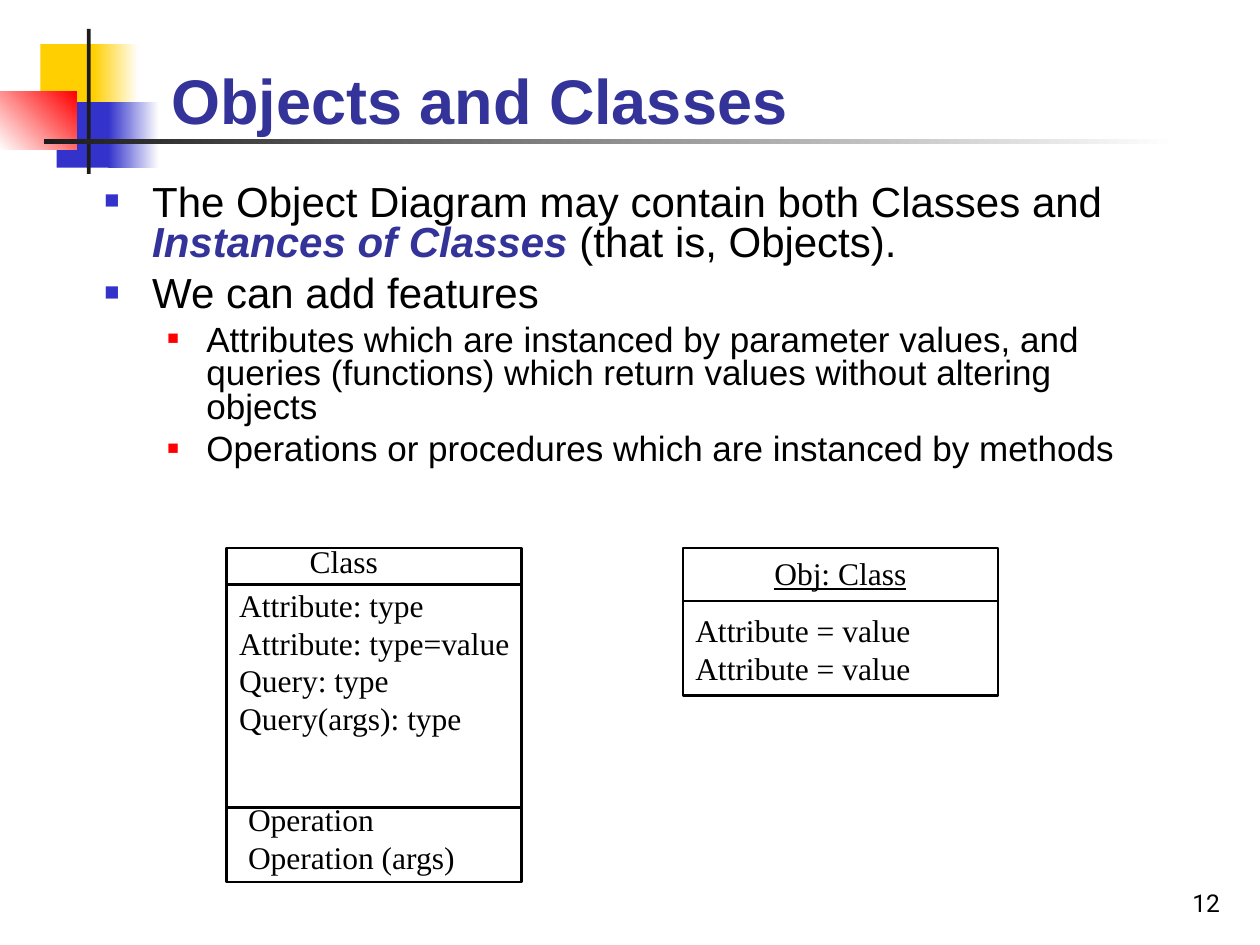
from collections import namedtuple
from lxml.etree import SubElement
from pptx import Presentation
from pptx.dml.color import RGBColor
from pptx.enum.shapes import MSO_CONNECTOR, MSO_SHAPE
from pptx.enum.text import MSO_ANCHOR, PP_ALIGN
from pptx.oxml.ns import qn
from pptx.util import Inches, Pt

Box = namedtuple("Box", "x y w h")
BLACK, WHITE, INK = "000000", "FFFFFF", "1C1C1C"
YELLOW, BLUE, RED, NAVY = "FFCF01", "3333CC", "FF0000", "333399"
SERIF = "Times New Roman"


def color(value):
    return RGBColor.from_string(value)


def emu(box):
    return [Inches(v) for v in box]


def within(box, x, y, w, h):
    return Box(box.x + x, box.y + y, w, h)


def write(p, text, font="Arial", size=18, fill=BLACK, bold=False, italic=False,
          underline=False):
    r = p.add_run()
    r.text = text
    f = r.font
    f.name, f.size, f.bold, f.italic, f.underline = font, Pt(size), bold, italic, underline
    f.color.rgb = color(fill)


def add_text(shapes, box, lines, align=PP_ALIGN.LEFT, anchor=MSO_ANCHOR.TOP, **style):
    tf = shapes.add_textbox(*emu(box)).text_frame
    tf.word_wrap = True
    tf.vertical_anchor = anchor
    for i, line in enumerate(lines):
        p = tf.paragraphs[0] if i == 0 else tf.add_paragraph()
        p.alignment = align
        write(p, line, **style)


def add_rect(shapes, box, fill=None, fade=None, angle=0, line=None):
    sp = shapes.add_shape(MSO_SHAPE.RECTANGLE, *emu(box))
    sp.shadow.inherit = False
    if fade:
        sp.fill.gradient()
        sp.fill.gradient_angle = angle
        for stop, position, value in zip(sp.fill.gradient_stops, (0, 1), (fill, fade)):
            stop.position = position
            stop.color.rgb = color(value)
    elif fill:
        sp.fill.solid()
        sp.fill.fore_color.rgb = color(fill)
    else:
        sp.fill.background()
    if line:
        sp.line.color.rgb = color(line)
        sp.line.width = Pt(1.5)
    else:
        sp.line.fill.background()


def add_rule(shapes, box, y):
    x1, y1, x2 = Inches(box.x), Inches(box.y + y), Inches(box.x + box.w)
    rule = shapes.add_connector(MSO_CONNECTOR.STRAIGHT, x1, y1, x2, y1)
    rule.line.color.rgb = color(BLACK)
    rule.line.width = Pt(1.5)
    SubElement(rule._element.spPr, qn("a:effectLst"))


def add_ornament(s, box):
    for x, y, w, h, fill, fade, angle in (
        (0.32, 0.12, 0.48, 0.52, YELLOW, None, 0),
        (0.74, 0.12, 0.36, 0.52, YELLOW, WHITE, 0),
        (0.45, 0.58, 0.46, 0.52, BLUE, None, 0),
        (0.86, 0.58, 0.4, 0.52, BLUE, WHITE, 0),
        (0, 0.5, 0.61, 0.46, WHITE, RED, 45),
        (0.69, 0, 0.03, box.h, INK, None, 0),
        (0.35, 0.87, 9, 0.04, INK, WHITE, 0),
    ):
        add_rect(s.shapes, within(box, x, y, w, h), fill, fade, angle)


def add_title(s, box, text):
    title = s.shapes.title
    title.left, title.top, title.width, title.height = emu(box)
    title._element.getparent().append(title._element)
    tf = title.text_frame
    tf.vertical_anchor = MSO_ANCHOR.BOTTOM
    p = tf.paragraphs[0]
    p.alignment = PP_ALIGN.LEFT
    write(p, text, size=36, fill=NAVY, bold=True)


def set_bullet(p, fill, percent, indent, hanging):
    pPr = p._p.get_or_add_pPr()
    pPr.set("marL", str(Inches(indent)))
    pPr.set("indent", str(-Inches(hanging)))
    SubElement(SubElement(pPr, qn("a:buClr")), qn("a:srgbClr"), val=fill)
    SubElement(pPr, qn("a:buSzPct"), val=str(percent * 1000))
    SubElement(pPr, qn("a:buFont"), typeface="Arial")
    SubElement(pPr, qn("a:buChar"), char="■")


def add_body(s, box, items):
    levels = (
        dict(size=24, before=6, bullet=(BLUE, 60, 0.38, 0.38)),
        dict(size=20, before=5, bullet=(RED, 55, 0.81, 0.31)),
    )
    tf = s.shapes.add_textbox(*emu(box)).text_frame
    tf.word_wrap = True
    for i, (level, runs) in enumerate(items):
        look = levels[level]
        p = tf.paragraphs[0] if i == 0 else tf.add_paragraph()
        p.level = level
        p.line_spacing = 0.8
        p.space_before = Pt(look["before"] if i else 0)
        set_bullet(p, *look["bullet"])
        for text, style in runs:
            write(p, text, size=look["size"], **style)


def add_uml_box(s, box, rules, labels):
    shapes = s.shapes.add_group_shape().shapes
    add_rect(shapes, box, line=BLACK)
    for y in rules:
        add_rule(shapes, box, y)
    for x, y, w, lines, style in labels:
        area = within(box, x, y, w, 0.1 + 0.3 * len(lines))
        add_text(shapes, area, lines, font=SERIF, **style)


def main():
    prs = Presentation()
    prs.slide_width, prs.slide_height = Inches(10), Inches(7.5)
    s = prs.slides.add_slide(prs.slide_layouts[5])
    add_ornament(s, Box(0, 0.23, 10, 1.15))
    add_text(s.shapes, Box(7.7, 6.83, 2.08, 0.5), ["12"], align=PP_ALIGN.RIGHT,
             anchor=MSO_ANCHOR.BOTTOM, font="Roboto", size=14)
    add_title(s, Box(1.26, 0.23, 8.52, 0.91), "Objects and Classes")
    add_body(s, Box(0.73, 1.42, 8.5, 2.59), [
        (0, [("The Object Diagram may contain both Classes and ", {}),
             ("Instances of Classes", dict(fill=NAVY, bold=True, italic=True)),
             (" (that is, Objects).", {})]),
        (0, [("We can add features", {})]),
        (1, [("Attributes which are instanced by parameter values, and queries "
              "(functions) which return values without altering objects", {})]),
        (1, [("Operations or procedures which are instanced by methods", {})]),
    ])
    add_uml_box(s, Box(1.8, 4.35, 2.34, 2.65), (0.29, 2.06), [
        (0, 0.25, 2.41, ["Attribute: type", "Attribute: type=value", "Query: type",
                         "Query(args): type"], {}),
        (0.56, -0.1, 0.99, ["Class"], {}),
        (0.07, 1.95, 1.95, ["Operation", "Operation (args)"], {}),
    ])
    add_uml_box(s, Box(5.42, 4.35, 2.5, 1.17), (0.42,), [
        (0, 0, 2.5, ["Obj: Class"], dict(align=PP_ALIGN.CENTER, underline=True)),
        (0, 0.45, 2.5, ["Attribute = value"] * 2, {}),
    ])
    prs.save("out.pptx")


if __name__ == "__main__":
    main()
